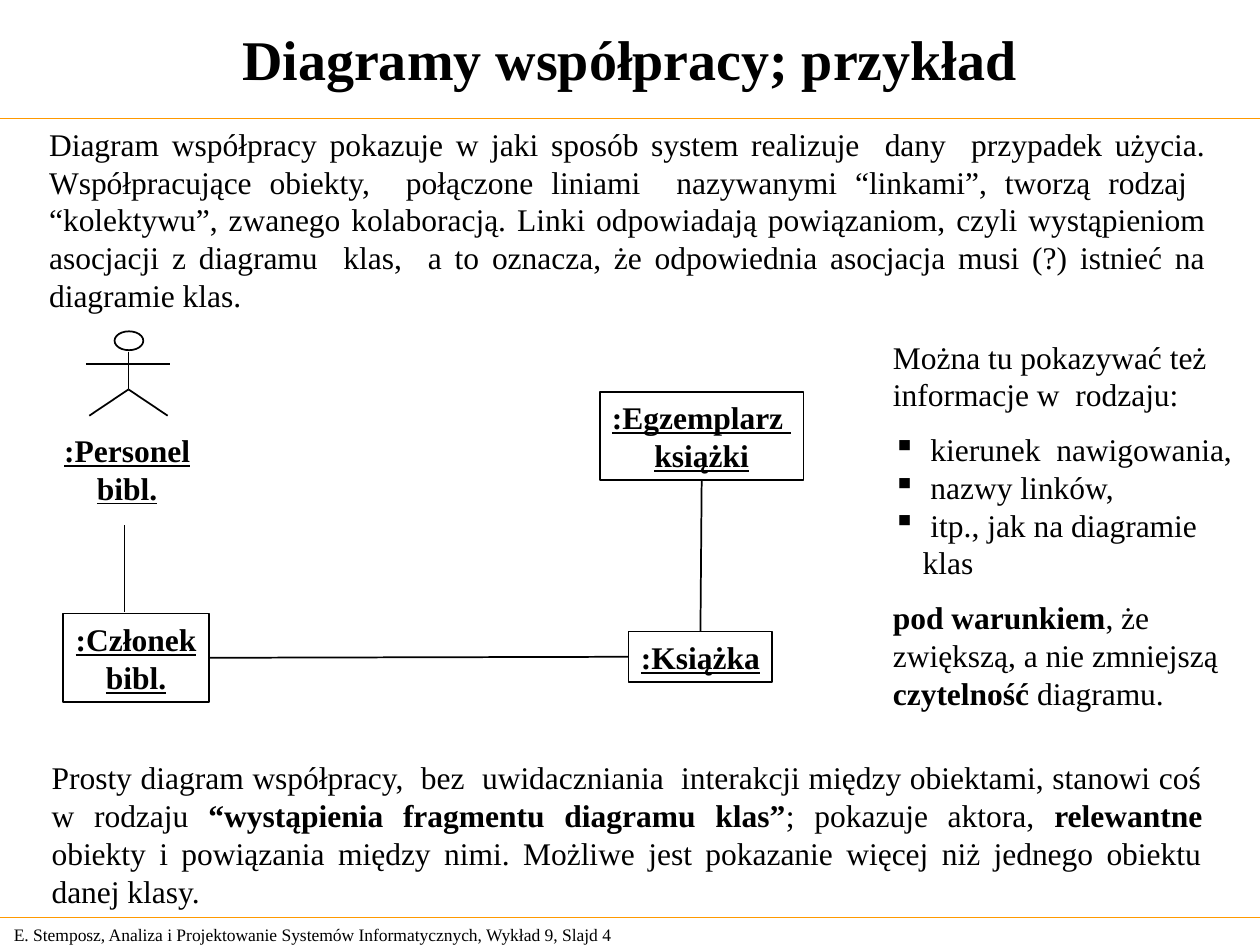
from lxml import etree
from pptx import Presentation
from pptx.dml.color import RGBColor
from pptx.enum.shapes import MSO_CONNECTOR, MSO_SHAPE
from pptx.enum.text import MSO_ANCHOR, PP_ALIGN
from pptx.oxml.ns import qn
from pptx.util import Cm, Pt


class Theme:
    font = "Times New Roman"
    ink = RGBColor(0, 0, 0)
    accent = RGBColor(0xFF, 0x99, 0x00)
    title, body, footer = 32, 18, 10
    leading = 21.6
    gap = 9.6
    line, rule = 1, 0.75
    hang = 0.6


# Content: a paragraph is a string or a list of strings and (bold,) tuples
TITLE = "Diagramy współpracy; przykład"
FOOTER = "E. Stemposz, Analiza i Projektowanie Systemów Informatycznych, Wykład 9, Slajd 4"
INTRO = (
    "Diagram współpracy pokazuje w jaki sposób system realizuje  dany  przypadek użycia. "
    "Współpracujące obiekty,  połączone liniami  nazywanymi “linkami”, tworzą rodzaj  "
    "“kolektywu”, zwanego kolaboracją. Linki odpowiadają powiązaniom, czyli wystąpieniom "
    "asocjacji z diagramu  klas,  a to oznacza, że odpowiednia asocjacja musi (?) istnieć "
    "na diagramie klas."
)
SUMMARY = [
    "Prosty diagram współpracy,  bez  uwidaczniania  interakcji między obiektami, "
    "stanowi coś w rodzaju ",
    ("“wystąpienia fragmentu diagramu klas”",),
    "; pokazuje aktora, ",
    ("relewantne",),
    " obiekty i powiązania między nimi. Możliwe jest pokazanie więcej niż jednego "
    "obiektu danej klasy.",
]
SIDE = [
    "Można tu pokazywać też",
    "informacje w  rodzaju:",
    " kierunek  nawigowania,",
    " nazwy linków,",
    " itp., jak na diagramie klas",
    [("pod warunkiem",), ", że"],
    "zwiększą, a nie zmniejszą",
    [("czytelność",), " diagramu."],
]
SIDE_BULLETS = {2, 3, 4}
SIDE_GAPS = {2, 5}

# Objects: left, top, width, height in cm
OBJECTS = {
    "member": ([":Członek", "bibl."], (1.27, 12.37, 2.95, 1.78)),
    "book": ([":Książka"], (12.67, 12.73, 2.9, 1.02)),
    "copy": ([":Egzemplarz ", "książki"], (12.09, 7.9, 4.11, 1.78)),
}
# Links: object, side, object, side
LINKS = [("member", 3, "book", 1), ("copy", 2, "book", 0)]
ACTOR_LINK = (2.51, 10.59, 2.51, 12.34)
ACTOR_HEAD = (2.31, 6.68, 0.58, 0.38)
ACTOR_LIMBS = [
    (2.59, 7.09, 2.59, 7.85),
    (1.73, 7.34, 3.43, 7.34),
    (2.59, 7.85, 3.38, 8.38),
    (2.59, 7.85, 1.8, 8.38),
]
RULES = [2.39, 18.49]


def set_bullet(p):
    pPr = p._p.get_or_add_pPr()
    pPr.set("marL", str(Cm(Theme.hang)))
    pPr.set("indent", str(-Cm(Theme.hang)))
    etree.SubElement(pPr, qn("a:buChar")).set("char", "▪")


def write(sp, paragraphs, size=Theme.body, bold=False, underline=False,
          align=PP_ALIGN.LEFT, anchor=MSO_ANCHOR.TOP, wrap=True,
          leading=Theme.leading, bullets=(), gaps=()):
    tf = sp.text_frame
    tf.word_wrap = wrap
    tf.vertical_anchor = anchor
    for i, parts in enumerate(paragraphs):
        p = tf.add_paragraph() if i else tf.paragraphs[0]
        if i in bullets:
            set_bullet(p)
        p.alignment = align
        if leading:
            p.line_spacing = Pt(leading)
        if i in gaps:
            p.space_before = Pt(Theme.gap)
        for part in [parts] if isinstance(parts, str) else parts:
            strong = isinstance(part, tuple)
            r = p.add_run()
            r.text = part[0] if strong else part
            r.font.name, r.font.size = Theme.font, Pt(size)
            r.font.bold, r.font.underline = bold or strong, underline
            r.font.color.rgb = Theme.ink


def add_text(s, box, paragraphs, **fmt):
    sp = s.shapes.add_textbox(*map(Cm, box))
    write(sp, paragraphs, **fmt)


def add_outline(shapes, kind, box):
    sp = shapes.add_shape(kind, *map(Cm, box))
    sp.shadow.inherit = False
    sp.fill.background()
    sp.line.color.rgb = Theme.ink
    sp.line.width = Pt(Theme.line)
    return sp


def add_line(shapes, ends, color=Theme.ink, width=Theme.line):
    cn = shapes.add_connector(MSO_CONNECTOR.STRAIGHT, *map(Cm, ends))
    cn.line.color.rgb = color
    cn.line.width = Pt(width)
    etree.SubElement(cn._element.spPr, qn("a:effectLst"))
    return cn


def main():
    prs = Presentation()
    prs.slide_width, prs.slide_height = Cm(25.4), Cm(19.05)
    s = prs.slides.add_slide(prs.slide_layouts[6])

    # Footer, rules and title
    add_text(s, (0.03, 18.49, 13.31, 0.69), [FOOTER], size=Theme.footer,
             anchor=MSO_ANCHOR.MIDDLE, leading=None)
    for y in RULES:
        add_line(s.shapes, (0, y, 25.4, y), Theme.accent, Theme.rule)
    add_text(s, (0.1, 0.1, 25.2, 2.16), [TITLE], size=Theme.title, bold=True,
             align=PP_ALIGN.CENTER, anchor=MSO_ANCHOR.MIDDLE, leading=None)

    # Running text
    add_text(s, (0.79, 15.16, 23.7, 3.3), [SUMMARY], align=PP_ALIGN.JUSTIFY)
    add_text(s, (0.74, 2.39, 23.83, 4.06), [INTRO], align=PP_ALIGN.JUSTIFY)
    add_text(s, (17.75, 6.68, 7.67, 7.04), SIDE,
             bullets=SIDE_BULLETS, gaps=SIDE_GAPS)

    # Objects and links
    label = dict(bold=True, underline=True, align=PP_ALIGN.CENTER, wrap=False)
    nodes = {}
    for name, (lines, box) in OBJECTS.items():
        nodes[name] = add_outline(s.shapes, MSO_SHAPE.RECTANGLE, box)
        write(nodes[name], lines, anchor=MSO_ANCHOR.MIDDLE, **label)
    for start, start_side, end, end_side in LINKS:
        cn = add_line(s.shapes, (0, 0, 0, 0))
        cn.begin_connect(nodes[start], start_side)
        cn.end_connect(nodes[end], end_side)

    # Actor
    add_text(s, (1.04, 8.56, 3.05, 1.78), [":Personel", "bibl."], **label)
    add_line(s.shapes, ACTOR_LINK)
    actor = s.shapes.add_group_shape()
    add_outline(actor.shapes, MSO_SHAPE.OVAL, ACTOR_HEAD)
    for limb in ACTOR_LIMBS:
        add_line(actor.shapes, limb)

    prs.save("out.pptx")


if __name__ == "__main__":
    main()
